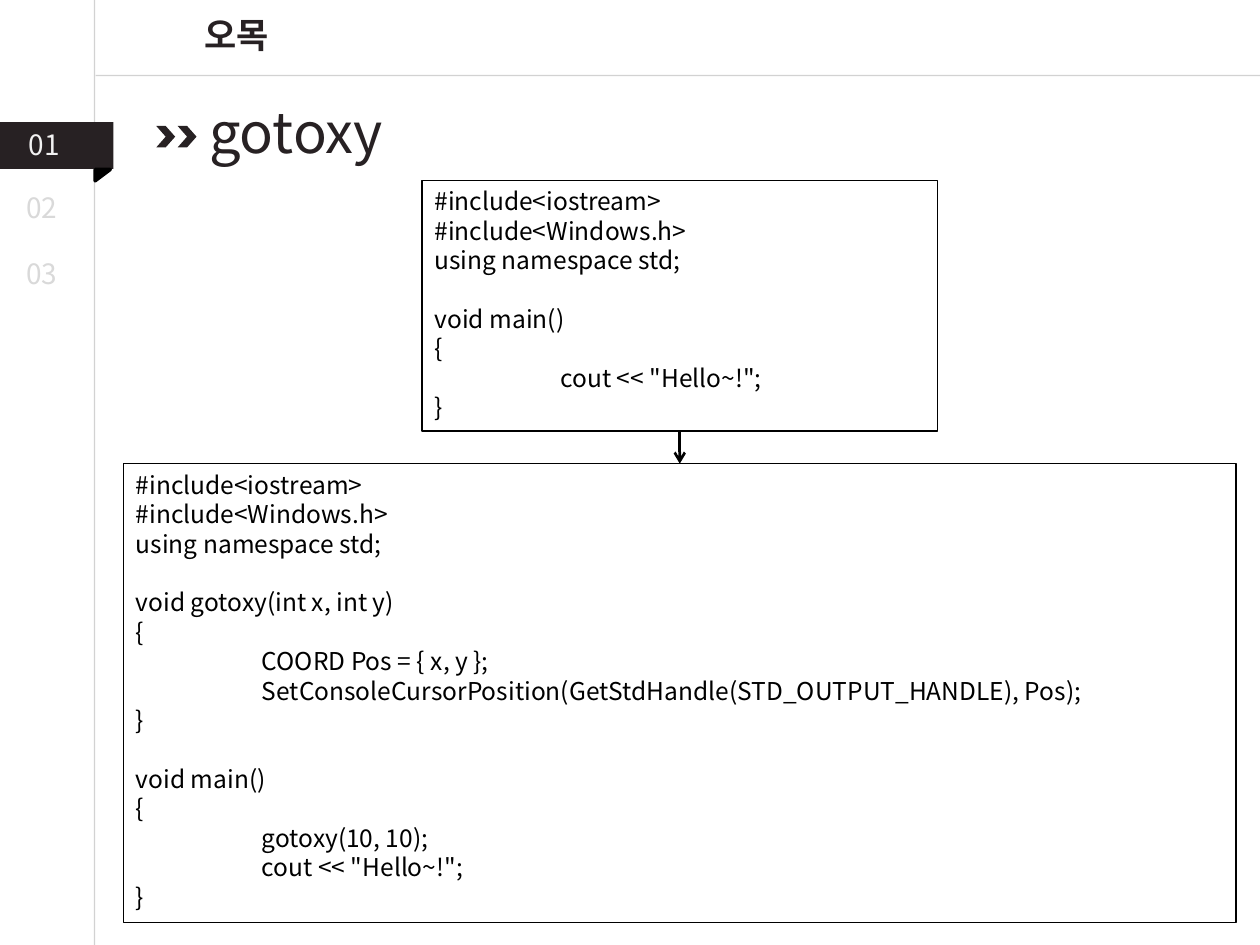
from lxml import etree
from pptx import Presentation
from pptx import util as u
from pptx.dml.color import RGBColor
from pptx.enum import shapes, text
from pptx.oxml import ns

FONT = "Noto Sans CJK KR"
INK = RGBColor(0x27, 0x21, 0x23)
BLACK = RGBColor(0, 0, 0)
RULE = RGBColor(0xA6, 0xA6, 0xA6)
ACTIVE = RGBColor(0xF2, 0xF2, 0xF2)
MUTED = RGBColor(0xD9, 0xD9, 0xD9)
CODE_LINE = 16.8


def write(shape, content, size=14, color=BLACK, bold=False,
          align=text.PP_ALIGN.LEFT, wrap=False):
    frame = shape.text_frame
    frame.word_wrap = wrap
    frame.auto_size = text.MSO_AUTO_SIZE.NONE
    frame.vertical_anchor = text.MSO_ANCHOR.TOP
    frame.margin_left = frame.margin_right = u.Inches(0.1)
    frame.margin_top = frame.margin_bottom = u.Inches(0.05)
    para = frame.paragraphs[0]
    gap = False
    for index, line in enumerate(content.split("\n")):
        if not line:
            gap = True
            continue
        if index:
            para = frame.add_paragraph()
        para.alignment = align
        para.space_before = u.Pt(CODE_LINE if gap else 0)
        gap = False
        if "\t" in line:
            tabs = etree.SubElement(para._p.get_or_add_pPr(), ns.qn("a:tabLst"))
            etree.SubElement(tabs, ns.qn("a:tab"), pos=str(u.Inches(1)), algn="l")
        span = para.add_run()
        span.text = line
        span.font.size = u.Pt(size)
        span.font.bold = bold
        span.font.color.rgb = color
        span.font.name = FONT
        etree.SubElement(span._r.get_or_add_rPr(), ns.qn("a:ea"), typeface=FONT)


def add_line(page, x1, y1, x2, y2, color, width):
    line = page.shapes.add_connector(
        shapes.MSO_CONNECTOR.STRAIGHT,
        u.Inches(x1), u.Inches(y1), u.Inches(x2), u.Inches(y2))
    line.line.color.rgb = color
    line.line.width = u.Pt(width)
    etree.SubElement(line._element.spPr, ns.qn("a:effectLst"))
    return line


deck = Presentation()
deck.slide_width = u.Inches(10)
deck.slide_height = u.Inches(7.5)
page = deck.slides.add_slide(deck.slide_layouts[5])

for ends in [(0.75, 0, 0.75, 7.5), (0.76, 0.6, 10, 0.6)]:
    rule = add_line(page, *ends, RULE, 0.75)
    tint = rule.line._ln.find(".//" + ns.qn("a:srgbClr"))
    etree.SubElement(tint, ns.qn("a:alpha"), val="50000")

SHAPE = shapes.MSO_SHAPE
for kind, left, top, width, height, color in [
    (SHAPE.RECTANGLE, -0.01, 0.97, 0.91, 0.37, INK),
    (SHAPE.RIGHT_TRIANGLE, 0.77, 1.33, 0.09, 0.12, BLACK),
    (SHAPE.CHEVRON, 1.41, 1, 0.15, 0.17, INK),
    (SHAPE.CHEVRON, 1.24, 1, 0.15, 0.17, INK),
]:
    mark = page.shapes.add_shape(
        kind, u.Inches(left), u.Inches(top), u.Inches(width), u.Inches(height))
    mark.shadow.inherit = False
    mark.fill.solid()
    mark.fill.fore_color.rgb = color
    if kind == SHAPE.RIGHT_TRIANGLE:
        mark.rotation = 90
        mark.line.color.rgb = BLACK
        mark.line.width = u.Pt(2)
    else:
        mark.line.fill.background()

for number, left, top, color in [
    ("01", 0.13, 0.96, ACTIVE),
    ("02", 0.11, 1.46, MUTED),
    ("03", 0.11, 1.99, MUTED),
]:
    label = page.shapes.add_textbox(
        u.Inches(left), u.Inches(top), u.Inches(0.49), u.Inches(0.37))
    write(label, number, size=16, color=color)

chapter = page.shapes.add_textbox(
    u.Inches(0.81), u.Inches(0.06), u.Inches(2.14), u.Inches(0.44))
write(chapter, "오목", size=20, color=INK, bold=True,
      align=text.PP_ALIGN.CENTER, wrap=True)

title = page.shapes.title
title.left, title.top = u.Inches(1.56), u.Inches(0.72)
title.width, title.height = u.Inches(1.95), u.Inches(0.64)
write(title, "gotoxy", size=32, color=INK, wrap=True)

HEADER = "#include<iostream>\n#include<Windows.h>\nusing namespace std;\n\n"
HELLO = '\tcout << "Hello~!";\n}'
BEFORE = HEADER + "void main()\n{\n" + HELLO
AFTER = HEADER + """void gotoxy(int x, int y)
{
\tCOORD Pos = { x, y };
\tSetConsoleCursorPosition(GetStdHandle(STD_OUTPUT_HANDLE), Pos);
}

void main()
{\t
\tgotoxy(10, 10);
""" + HELLO

code_boxes = []
for code, left, top, width, height in [
    (BEFORE, 3.35, 1.43, 4.09, 1.99),
    (AFTER, 0.98, 3.68, 8.83, 3.64),
]:
    box = page.shapes.add_shape(
        SHAPE.RECTANGLE,
        u.Inches(left), u.Inches(top), u.Inches(width), u.Inches(height))
    box.shadow.inherit = False
    box.fill.background()
    box.line.color.rgb = BLACK
    box.line.width = u.Pt(0.75)
    write(box, code, wrap=True)
    code_boxes.append(box)

arrow = add_line(page, 5.39, 3.42, 5.39, 3.68, BLACK, 1.5)
arrow.begin_connect(code_boxes[0], 2)
arrow.end_connect(code_boxes[1], 0)
etree.SubElement(arrow.line._ln, ns.qn("a:tailEnd"), type="arrow")

deck.save("out.pptx")
